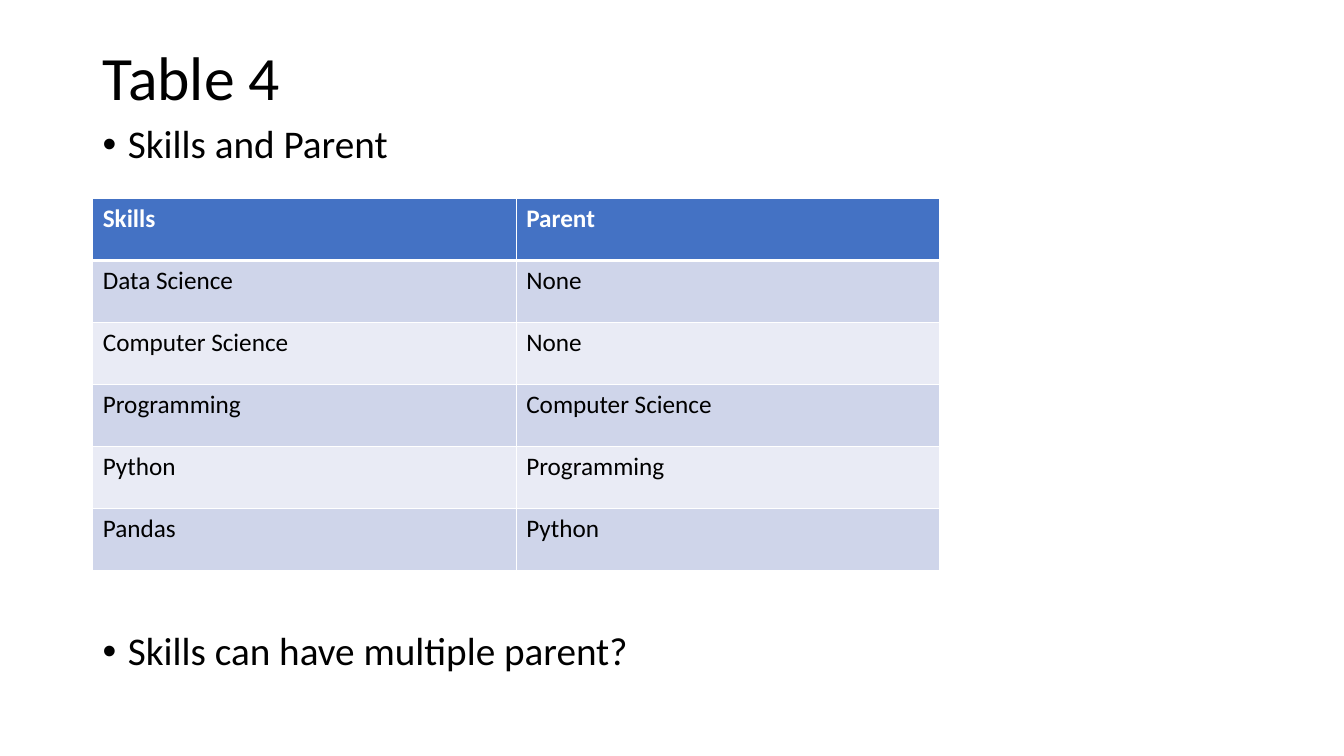
"""Build the slide listing skills and their parent skills."""
from dataclasses import dataclass

from lxml import etree
from pptx import Presentation
from pptx.dml.color import RGBColor
from pptx.enum.text import MSO_ANCHOR, MSO_AUTO_SIZE, PP_ALIGN
from pptx.oxml.ns import qn
from pptx.util import Inches, Pt


@dataclass(frozen=True)
class Theme:
    font: str = "Calibri"
    ink: str = "000000"
    white: str = "FFFFFF"
    header: str = "4472C4"
    bands: tuple[str, str] = ("CFD5EA", "E9EBF5")
    title_size: int = 44
    body_size: int = 28
    table_size: int = 18
    line_spacing: float = 0.9


@dataclass(frozen=True)
class Bullet:
    text: str
    space_before: int


THEME = Theme()
LEFT, CONTENT_WIDTH = Inches(0.92), Inches(11.5)
BULLETS = [Bullet("Skills and Parent", 10), Bullet("Skills can have multiple parent?", 332)]
SKILLS = [
    ("Skills", "Parent"),
    ("Data Science", "None"),
    ("Computer Science", "None"),
    ("Programming", "Computer Science"),
    ("Python", "Programming"),
    ("Pandas", "Python"),
]


def write(paragraph, text: str, size: int, color: str, bold: bool = False) -> None:
    run = paragraph.add_run()
    run.text = text
    run.font.name = THEME.font
    run.font.size = Pt(size)
    run.font.bold = bold
    run.font.color.rgb = RGBColor.from_string(color)


def add_title(slide, text: str) -> None:
    title = slide.shapes.title
    title.left, title.top, title.width, title.height = LEFT, Inches(0.4), CONTENT_WIDTH, Inches(0.79)
    frame = title.text_frame
    frame.auto_size = MSO_AUTO_SIZE.NONE
    frame.vertical_anchor = MSO_ANCHOR.MIDDLE
    paragraph = frame.paragraphs[0]
    paragraph.alignment = PP_ALIGN.LEFT
    paragraph.line_spacing = THEME.line_spacing
    write(paragraph, text, THEME.title_size, THEME.ink)


def add_bullets(slide, bullets: list[Bullet]) -> None:
    frame = slide.shapes.add_textbox(LEFT, Inches(1.19), CONTENT_WIDTH, Inches(5.57)).text_frame
    frame.word_wrap = True
    for index, bullet in enumerate(bullets):
        paragraph = frame.add_paragraph() if index else frame.paragraphs[0]
        paragraph.line_spacing = THEME.line_spacing
        paragraph.space_before = Pt(bullet.space_before)
        properties = paragraph._p.get_or_add_pPr()
        properties.set("marL", str(Inches(0.25)))
        properties.set("indent", str(-Inches(0.25)))
        etree.SubElement(properties, qn("a:buFont"), typeface="Arial")
        etree.SubElement(properties, qn("a:buChar"), char="•")
        write(paragraph, bullet.text, THEME.body_size, THEME.ink)


def set_borders(cell, top: int, bottom: int) -> None:
    properties = cell._tc.get_or_add_tcPr()
    for side, width in (("L", 1), ("R", 1), ("T", top), ("B", bottom)):
        line = etree.SubElement(properties, qn(f"a:ln{side}"), w=str(Pt(width)))
        fill = etree.SubElement(line, qn("a:solidFill"))
        etree.SubElement(fill, qn("a:srgbClr"), val=THEME.white)


def add_skill_table(slide, rows: list[tuple[str, str]]) -> None:
    row_height, column_width = Inches(0.615), Inches(4.2)
    columns = len(rows[0])
    table = slide.shapes.add_table(
        len(rows), columns, LEFT, Inches(1.97), column_width * columns, row_height * len(rows)
    ).table
    for row_index, row in enumerate(rows):
        is_header = row_index == 0
        fill = THEME.header if is_header else THEME.bands[(row_index - 1) % 2]
        color = THEME.white if is_header else THEME.ink
        for column_index, text in enumerate(row):
            cell = table.cell(row_index, column_index)
            set_borders(cell, top=3 if row_index == 1 else 1, bottom=3 if is_header else 1)
            cell.fill.solid()
            cell.fill.fore_color.rgb = RGBColor.from_string(fill)
            write(cell.text_frame.paragraphs[0], text, THEME.table_size, color, is_header)


def main() -> None:
    presentation = Presentation()
    presentation.slide_width, presentation.slide_height = Inches(13.33), Inches(7.5)
    slide = presentation.slides.add_slide(presentation.slide_layouts.get_by_name("Title Only"))
    add_title(slide, "Table 4")
    add_bullets(slide, BULLETS)
    add_skill_table(slide, SKILLS)
    presentation.save("out.pptx")


main()
